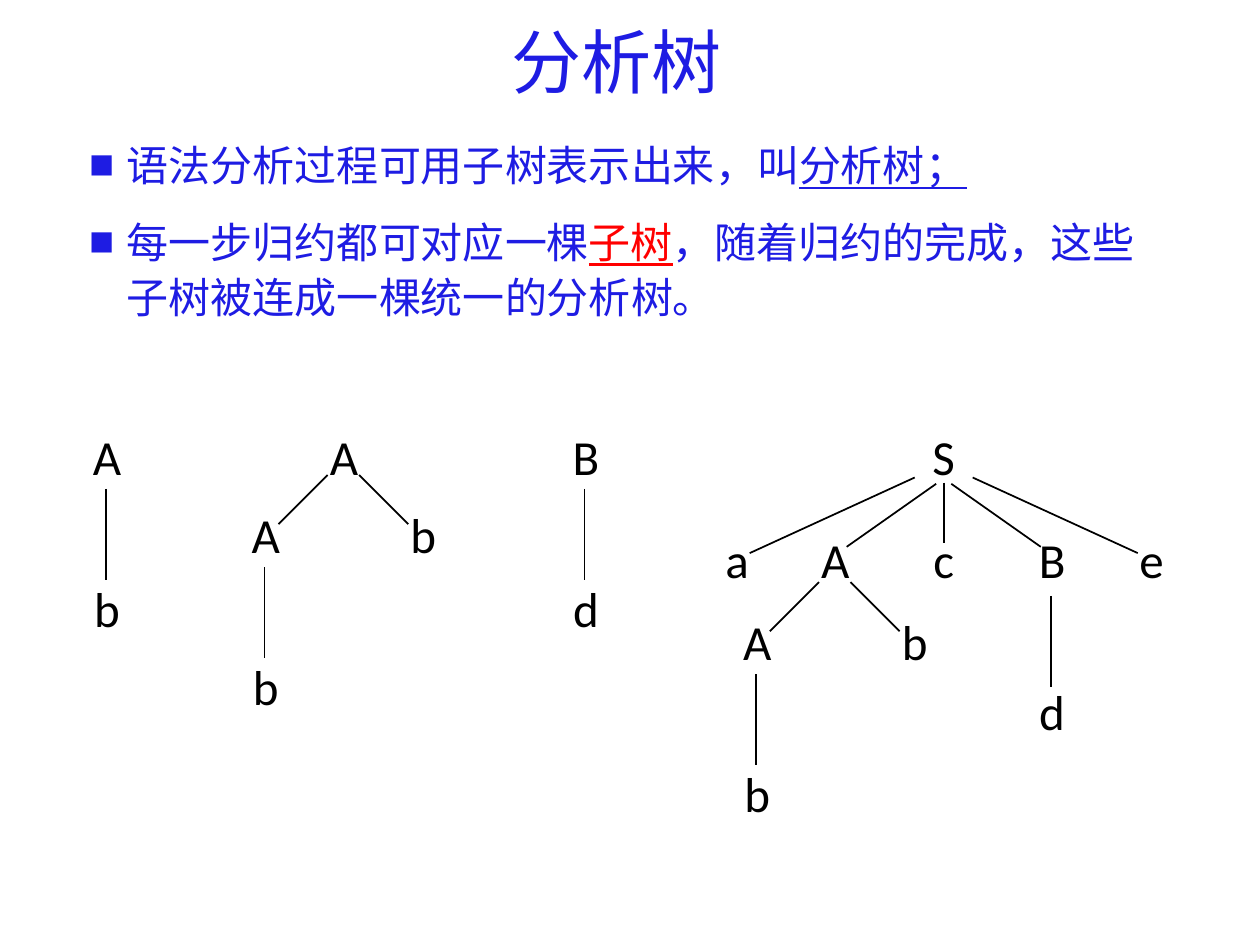
from lxml.etree import SubElement
from pptx import Presentation
from pptx.dml.color import RGBColor
from pptx.enum.shapes import MSO_CONNECTOR
from pptx.enum.text import MSO_ANCHOR, PP_ALIGN
from pptx.oxml.ns import qn
from pptx.util import Inches, Pt

COLORS = {"blue": "1E1CE3", "red": "FF0000", "black": "000000"}
CELL = Inches(0.1)
COLUMNS, ROWS = 100, 75
NODE_WIDTH, NODE_HEIGHT = 9, 5.3
STEM_DROP = 12.1
TITLE_FONT, BODY_FONT, NODE_FONT = "Noto Sans CJK JP", "Noto Sans CJK SC", "Calibri"
BULLETS = [
    [("语法分析过程可用子树表示出来，叫", "blue", False), ("分析树；", "blue", True)],
    [
        ("每一步归约都可对应一棵", "blue", False),
        ("子树", "red", True),
        ("，随着归约的完成，这些子树被连成一棵统一的分析树。", "blue", False),
    ],
]


def cells(*counts):
    return [round(count * CELL) for count in counts]


def format_run(run, font_name, size, color, underline=False):
    run.font.name = font_name
    run.font.size = Pt(size)
    run.font.color.rgb = RGBColor.from_string(COLORS[color])
    if underline:
        run.font.underline = True
    SubElement(run.font._element, qn("a:ea"), typeface=font_name)


def add_title(slide, left, top, width, height):
    title = slide.shapes.title
    title.left, title.top, title.width, title.height = cells(left, top, width, height)
    title.text_frame.text = "分析树"
    title.text_frame.vertical_anchor = MSO_ANCHOR.BOTTOM
    paragraph = title.text_frame.paragraphs[0]
    paragraph.alignment = PP_ALIGN.CENTER
    paragraph.line_spacing = 0.9
    format_run(paragraph.runs[0], TITLE_FONT, 40, "blue")


def add_bullets(slide, left, top, width, height):
    frame = slide.shapes.add_textbox(*cells(left, top, width, height)).text_frame
    frame.word_wrap = True
    for index, pieces in enumerate(BULLETS):
        paragraph = frame.add_paragraph() if index else frame.paragraphs[0]
        paragraph.line_spacing = 1.1
        paragraph.space_before = Pt(6 if index else 0)
        paragraph.space_after = Pt(6)
        properties = paragraph._p.get_or_add_pPr()
        properties.set("marL", str(Inches(0.3)))
        properties.set("indent", str(-Inches(0.3)))
        SubElement(properties, qn("a:buSzPct"), val="60000")
        SubElement(properties, qn("a:buFont"), typeface=BODY_FONT)
        SubElement(properties, qn("a:buChar"), char="■")
        for text, color, underline in pieces:
            run = paragraph.add_run()
            run.text = text
            format_run(run, BODY_FONT, 24, color, underline)


def add_node(slide, left, top, label):
    box = slide.shapes.add_textbox(*cells(left, top, NODE_WIDTH, NODE_HEIGHT))
    frame = box.text_frame
    frame.word_wrap = True
    frame.vertical_anchor = MSO_ANCHOR.MIDDLE
    frame.text = label
    paragraph = frame.paragraphs[0]
    paragraph.alignment = PP_ALIGN.CENTER
    format_run(paragraph.runs[0], NODE_FONT, 28, "black")


def add_branch(slide, left, top, start, end):
    (start_x, start_y), (end_x, end_y) = start, end
    line = slide.shapes.add_connector(
        MSO_CONNECTOR.STRAIGHT,
        *cells(left + start_x, top + start_y, left + end_x, top + end_y),
    )
    line.line.color.rgb = RGBColor.from_string(COLORS["black"])
    line.line.width = Pt(1)
    SubElement(line._element.spPr, qn("a:effectLst"))


def add_stem(slide, left, top, parent, child, gap=0):
    add_node(slide, left, top, parent)
    add_node(slide, left, top + STEM_DROP, child)
    line_top = NODE_HEIGHT + gap
    add_branch(slide, left, top, (4.4, line_top), (4.4, line_top + 7.2))


def add_fork(slide, left, top, drop):
    add_node(slide, left, top, "A")
    add_stem(slide, left - 6.2, top + drop, "A", "b")
    add_node(slide, left + 6.3, top + drop, "b")
    for start_x, end_x in [(3.2, -0.7), (5.7, 9.6)]:
        add_branch(slide, left, top, (start_x, drop - 2), (end_x, drop + 1.9))


def add_full_tree(slide, left, top):
    child_top = top + 8.2
    add_node(slide, left, top, "S")
    for label, offset in [("a", -16.4), ("c", 0), ("e", 16.5)]:
        add_node(slide, left + offset, child_top, label)
    add_fork(slide, left - 8.6, child_top, 6.5)
    add_stem(slide, left + 8.6, child_top, "B", "d", 0.3)
    center = NODE_WIDTH / 2
    add_branch(slide, left, top, (center, 4.8), (center, 9.6))
    for side in (-1, 1):
        for near, far, near_y, far_y in [(0.6, 7.7, 4.9, 9.9), (2.3, 15.4, 4.4, 10.4)]:
            start = (center + side * near, near_y)
            add_branch(slide, left, top, start, (center + side * far, far_y))


def main():
    presentation = Presentation()
    presentation.slide_width, presentation.slide_height = cells(COLUMNS, ROWS)
    slide = presentation.slides.add_slide(presentation.slide_layouts[5])
    add_title(slide, 4.4, 0.7, 89, 8)
    add_bullets(slide, 6.1, 10.2, 87.7, 19.2)
    tree_top = 33.5
    add_stem(slide, 4, tree_top, "A", "b")
    add_fork(slide, 22.8, tree_top, 6.2)
    add_stem(slide, 42, tree_top, "B", "d")
    add_full_tree(slide, 70.4, tree_top)
    presentation.save("out.pptx")


if __name__ == "__main__":
    main()
